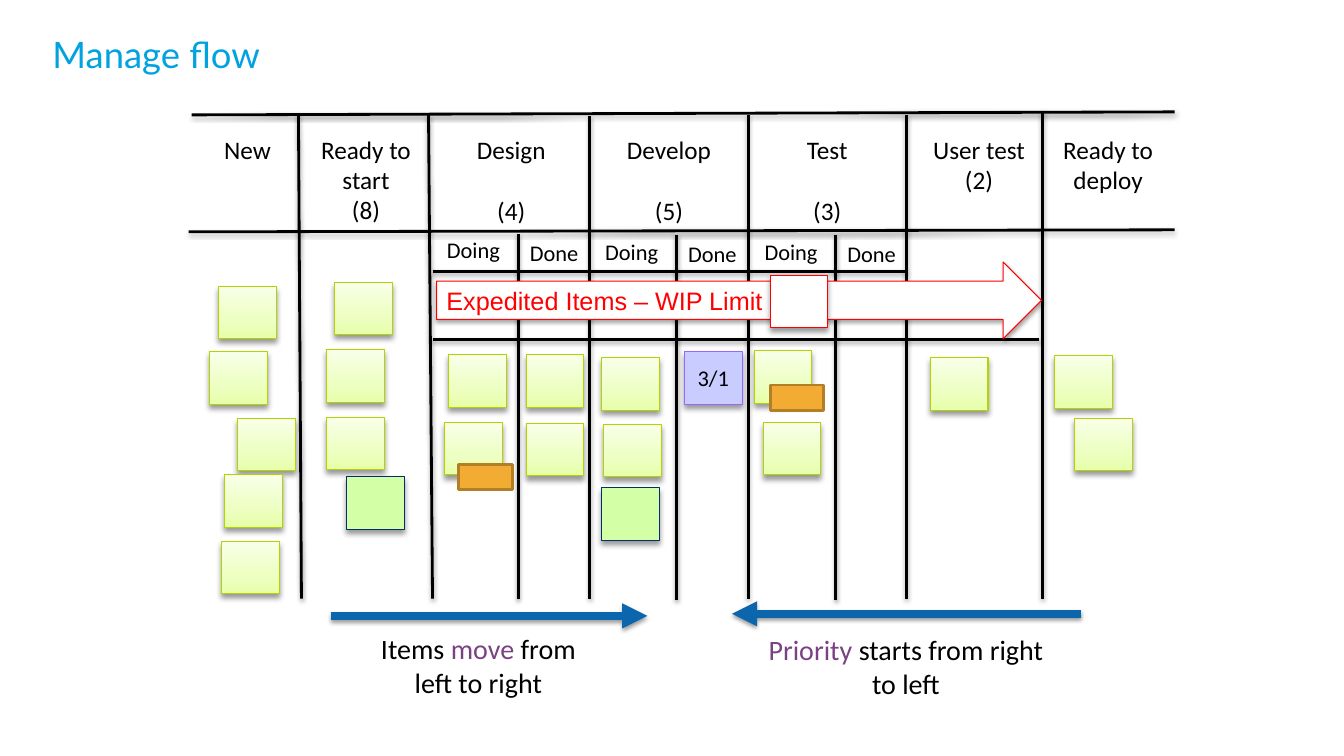
from copy import deepcopy
from dataclasses import dataclass

from lxml.etree import SubElement
from pptx import Presentation
from pptx.dml.color import RGBColor
from pptx.enum.shapes import MSO_CONNECTOR as Connector, MSO_SHAPE as Preset
from pptx.enum.text import MSO_ANCHOR as Anchor, MSO_AUTO_SIZE as AutoSize, PP_ALIGN as Align
from pptx.oxml.ns import qn
from pptx.util import Inches, Pt


@dataclass(frozen=True)
class Theme:
    title_font: str = "Lato"
    body_font: str = "Calibri"
    lane_font: str = "Arial"
    title_size: float = 26
    caption_size: float = 20
    heading_size: float = 18
    label_size: float = 16
    title: str = "00A3E0"
    ink: str = "000000"
    accent: str = "7A4183"
    flow: str = "0B66AE"
    white: str = "FFFFFF"
    urgent: str = "FF0000"
    note: tuple = ((0, "E6FFA8"), (0.35, "EDFFC2"), (1, "F8FFE8"))
    note_edge: str = "B3D400"
    ready: str = "D3FFA7"
    ready_edge: str = "002F6C"
    split: str = "C9CCFF"
    split_edge: str = "9966FF"
    tag: str = "F2AC33"
    tag_edge: str = "B37F26"
    # Shadows: opacity in percent, then blur and distance in points
    card_shadow: tuple = (40, 4, 3)
    line_shadow: tuple = (38, 3.1, 1.6)
    lane_shadow: tuple = (35, 3.1, 1.8)


class Board:
    """Draws on one slide; lengths are columns and rows of a square grid."""
    CELL = Inches(0.1)

    def __init__(self, page, theme):
        self.page, self.theme = page, theme

    def grid(self, *cells):
        return [round(cell * self.CELL) for cell in cells]

    def shadow(self, element, opacity, blur, distance):
        properties = element.spPr
        effects = properties.find(qn("a:effectLst"))
        if effects is None:
            effects = SubElement(properties, qn("a:effectLst"))
        outer = SubElement(effects, qn("a:outerShdw"), blurRad=str(Pt(blur)),
                           dist=str(Pt(distance)), dir="5400000", rotWithShape="0")
        color = SubElement(outer, qn("a:srgbClr"), val=self.theme.ink)
        SubElement(color, qn("a:alpha"), val=str(opacity * 1000))

    def add_text(self, frame, paragraphs, size, font=None, align=Align.CENTER, gap=0):
        """Each paragraph is a list of (text, colour) runs."""
        frame.word_wrap = True
        for index, spans in enumerate(paragraphs):
            para = frame.add_paragraph() if index else frame.paragraphs[0]
            para.alignment = align
            if index and gap:
                para.space_before = Pt(gap)
            for text, color in spans:
                span = para.add_run()
                span.text = text
                span.font.name = font or self.theme.body_font
                span.font.size = Pt(size)
                span.font.color.rgb = RGBColor.from_string(color)

    def title(self, text, *place):
        box = self.page.shapes.title
        box.left, box.top, box.width, box.height = self.grid(*place)
        frame = box.text_frame
        frame.auto_size, frame.vertical_anchor = AutoSize.NONE, Anchor.TOP
        frame.margin_left = frame.margin_top = frame.margin_right = frame.margin_bottom = 0
        self.add_text(frame, [[(text, self.theme.title)]], self.theme.title_size,
                      self.theme.title_font, Align.LEFT)

    def text(self, paragraphs, size, *place, gap=0):
        box = self.page.shapes.add_textbox(*self.grid(*place))
        self.add_text(box.text_frame, paragraphs, size, gap=gap)
        box.text_frame.auto_size = AutoSize.SHAPE_TO_FIT_TEXT

    def label(self, lines, size, *place, gap=0):
        self.text([[(line, self.theme.ink)] for line in lines], size, *place, gap=gap)

    def line(self, *ends, color=None, weight=2, arrow=False):
        line = self.page.shapes.add_connector(Connector.STRAIGHT, *self.grid(*ends))
        line.line.color.rgb = RGBColor.from_string(color or self.theme.ink)
        line.line.width = Pt(weight)
        if arrow:
            SubElement(line.element.spPr.find(qn("a:ln")), qn("a:tailEnd"), type="triangle")
        self.shadow(line.element, *self.theme.line_shadow)

    def shape(self, preset, fill, edge, *place, weight=0.75, shadow=None):
        shape = self.page.shapes.add_shape(preset, *self.grid(*place))
        if isinstance(fill, str):
            shape.fill.solid()
            shape.fill.fore_color.rgb = RGBColor.from_string(fill)
        else:
            shape.fill.gradient()
            shape.fill.gradient_angle = 90
            stops = shape.element.spPr.find(".//" + qn("a:gsLst"))
            stops.append(deepcopy(stops[-1]))
            for stop, (position, color) in zip(shape.fill.gradient_stops, fill):
                stop.position = position
                stop.color.rgb = RGBColor.from_string(color)
        shape.line.color.rgb = RGBColor.from_string(edge)
        shape.line.width = Pt(weight)
        shape.shadow.inherit = False
        if shadow:
            self.shadow(shape.element, *shadow)
        shape.text_frame.vertical_anchor = Anchor.MIDDLE
        return shape

    def card(self, left, top, fill=None, edge=None):
        return self.shape(Preset.RECTANGLE, fill or self.theme.note,
                          edge or self.theme.note_edge, left, top, 5.7, 5.2,
                          shadow=self.theme.card_shadow)

    def tag(self, left, top):
        self.shape(Preset.RECTANGLE, self.theme.tag, self.theme.tag_edge,
                   left, top, 5.3, 2.5, weight=2)


def main():
    theme = Theme()
    deck = Presentation()
    deck.slide_width, deck.slide_height = Inches(13.33), Inches(7.5)
    board = Board(deck.slides.add_slide(deck.slide_layouts[5]), theme)
    board.title("Manage flow", 5.2, 3.2, 122.9, 8.3)

    # Board lines: stage borders, then the rules across
    for top_x, top, foot_x in ((29.6, 11.3, 29.9), (42.5, 11.4, 42.9), (58.5, 11.5, 58.5),
                               (74.2, 11.4, 74.2), (89.9, 11.4, 89.9), (103.4, 11, 103.4)):
        board.line(top_x, top, foot_x, 59.4)
    for rule in ((19, 11.4, 116.5, 11.1), (18.7, 23, 116.5, 22.8),
                 (42.9, 26.9, 89.9, 26.9), (42.9, 33.7, 103.1, 33.7)):
        board.line(*rule)

    # Stage headings; a gap of one line sets the limit on the third line
    for lines, left, width, height, gap in (
            (["New"], 19, 11.1, 4, 0),
            (["Ready to start", "(8)"], 30.1, 12.4, 10.1, 0),
            (["Design", "(4)"], 42.7, 16, 10.1, 22),
            (["Develop", "(5)"], 58.5, 15.7, 10.1, 22),
            (["Test", "(3)"], 74.3, 15.5, 10.1, 22),
            (["User test", "(2)"], 90.9, 12.4, 10.1, 0),
            (["Ready to deploy"], 103.3, 13.2, 7.1, 0)):
        board.label(lines, theme.heading_size, left, 12.8, width, height, gap=gap)

    # Doing and Done halves
    for middle, doing_top, done_top in ((51.4, 22.9, 23.2), (67.1, 23.1, 23.3),
                                        (82.9, 23.1, 23.3)):
        board.label(["Doing"], theme.label_size, middle - 8.85, doing_top, 8.8, 3.7)
        board.label(["Done"], theme.label_size, middle, done_top, 7.1, 3.7)
        board.line(middle, done_top, middle, done_top + 36.2)

    # Work items, stage by stage
    for left, top in (
            (21.7, 28.4), (20.8, 34.9), (23.6, 41.5), (22.3, 47.1), (22, 53.7),
            (33.2, 28), (32.4, 34.7), (32.4, 41.4),
            (44.5, 35.2), (44.1, 41.9), (52.2, 35.2), (52.2, 42),
            (59.7, 35.5), (59.9, 42.1), (74.8, 34.8), (75.7, 41.9),
            (92.3, 35.5), (104.6, 35.3), (106.6, 41.5)):
        board.card(left, top)
    for left, top in ((34.4, 47.3), (59.7, 48.4)):
        board.card(left, top, theme.ready, theme.ready_edge)
    split = board.card(67.9, 34.9, theme.split, theme.split_edge)
    board.add_text(split.text_frame, [[("3/1", theme.ink)]], theme.label_size)
    for left, top in ((76.4, 38.2), (45.5, 46.1)):
        board.tag(left, top)

    # Expedite lane
    lane = board.shape(Preset.RIGHT_ARROW, theme.white, theme.urgent,
                       43.3, 26, 60, 7.6, shadow=theme.lane_shadow)
    board.add_text(lane.text_frame, [[("Expedited Items – WIP Limit", theme.urgent)]],
                   theme.heading_size, theme.lane_font, Align.LEFT)
    board.card(76.4, 27.3, theme.white, theme.urgent)

    # Direction arrows and captions
    for start, end, row in ((32.8, 64.2, 61.1), (107.2, 72.6, 60.9)):
        board.line(start, row, end, row, color=theme.flow, weight=6, arrow=True)
    board.text([[("Items ", theme.ink), ("move", theme.accent), (" from", theme.ink)],
                [("left to right", theme.ink)]],
               theme.caption_size, 29.3, 62.2, 36.3, 7.7)
    board.text([[("Priority", theme.accent), (" starts from right to left", theme.ink)]],
               theme.caption_size, 73.8, 62.3, 32.1, 7.7)

    deck.save("out.pptx")


if __name__ == "__main__":
    main()
